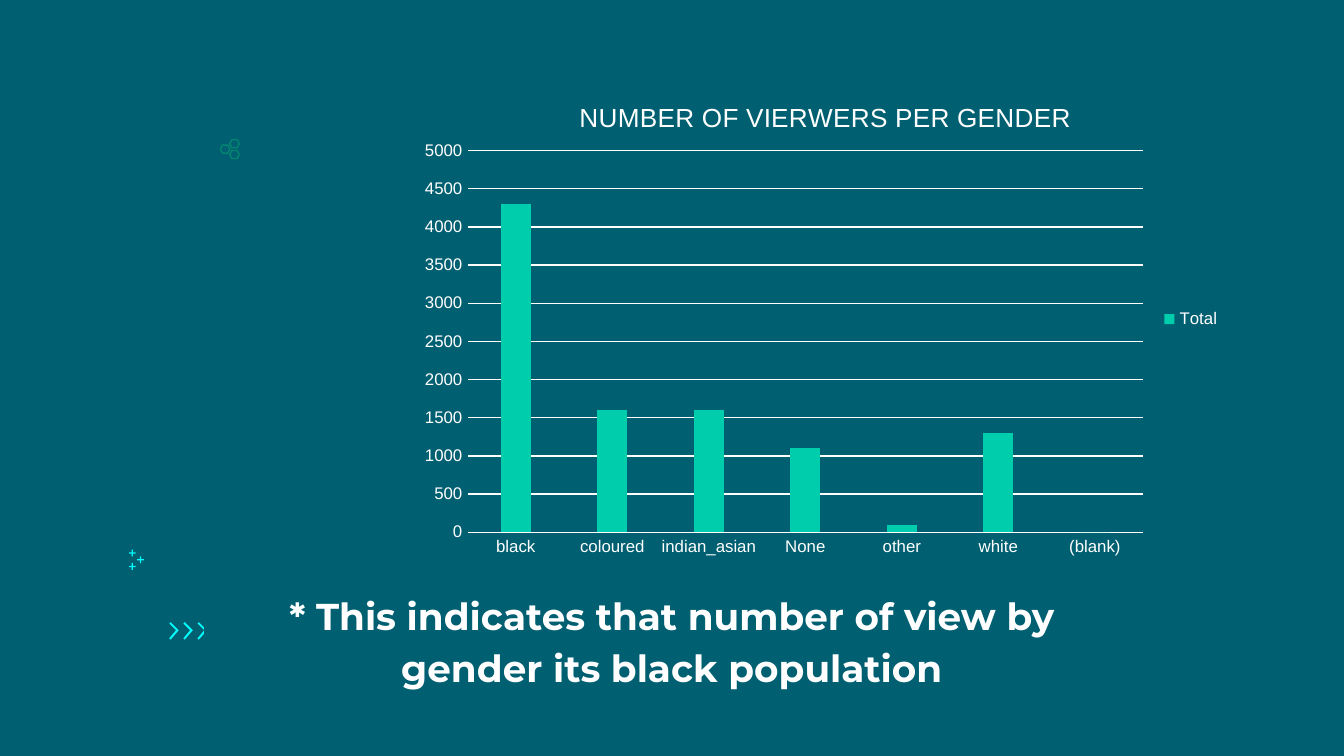
from dataclasses import dataclass

from lxml import etree
from pptx import Presentation
from pptx.chart.data import CategoryChartData
from pptx.dml.color import RGBColor
from pptx.enum.chart import XL_CHART_TYPE, XL_LEGEND_POSITION, XL_TICK_MARK
from pptx.enum.shapes import MSO_SHAPE
from pptx.enum.text import MSO_ANCHOR, PP_ALIGN
from pptx.oxml.ns import qn
from pptx.util import Inches, Pt

COLUMN = XL_CHART_TYPE.COLUMN_CLUSTERED
RIGHT = XL_LEGEND_POSITION.RIGHT
NO_TICK = XL_TICK_MARK.NONE
RECT = MSO_SHAPE.RECTANGLE
HEX = MSO_SHAPE.HEXAGON
MIDDLE = MSO_ANCHOR.MIDDLE
CENTER = PP_ALIGN.CENTER

CELL = Inches(0.1)
COLS, ROWS = 100, 56.25


@dataclass(frozen=True)
class Theme:
    back: str = "005F71"
    white: str = "FFFFFF"
    cyan: str = "00FFFD"
    green: str = "028670"
    bar: str = "00CDAB"
    plain: str = "Arial"
    bold: str = "Montserrat"
    small: float = 9
    head: float = 14
    note: float = 20
    thin: float = 0.75


THEME = Theme()


def span(*cells):
    return [round(cell * CELL) for cell in cells]


def assign(item, values):
    for name, value in values.items():
        setattr(item, name, value)


def paint(fill, color):
    fill.solid()
    fill.fore_color.rgb = RGBColor.from_string(color)


def stroke(line, color):
    paint(line.fill, color)
    line.width = Pt(THEME.thin)


def style(font, size, face=THEME.plain, bold=False):
    assign(font, {"size": Pt(size), "name": face, "bold": bold})
    font.color.rgb = RGBColor.from_string(THEME.white)


def finish(shape, color):
    shape.shadow.inherit = False
    paint(shape.fill, color)
    shape.line.fill.background()


def lay(parent, index, values):
    for old in parent.findall(qn("c:layout")):
        parent.remove(old)
    layout = etree.Element(qn("c:layout"))
    manual = etree.SubElement(layout, qn("c:manualLayout"))
    for name, value in values.items():
        etree.SubElement(manual, qn("c:" + name)).set("val", str(value))
    parent.insert(index, layout)


def draw_pluses(slide, left, top):
    shapes = slide.shapes.add_group_shape().shapes
    long, thin = 0.5, 0.1
    for col, row in ((0.85, 0.75), (0.25, 1.25), (0.25, 0.25)):
        for wide, high in ((long, thin), (thin, long)):
            box = span(left + col - wide / 2, top + row - high / 2, wide, high)
            finish(shapes.add_shape(RECT, *box), THEME.cyan)


def draw_arrows(slide, left, top, count=3, step=1.05):
    shapes = slide.shapes.add_group_shape().shapes
    edge = ((0, 1.2), (0.5, 0.6), (0, 0.1), (0.1, 0), (0.7, 0.6), (0.1, 1.3))
    for index in range(count):
        points = [span(left + index * step + x, top + y) for x, y in edge]
        path = shapes.build_freeform(*points[0])
        path.add_line_segments(points[1:], close=True)
        finish(path.convert_to_shape(), THEME.cyan)


def draw_cells(slide, left, top):
    shapes = slide.shapes.add_group_shape().shapes
    for col, row in ((0.7, 0), (0, 0.4), (0.7, 0.8)):
        cell = shapes.add_shape(HEX, *span(left + col, top + row, 0.7, 0.6))
        cell.shadow.inherit = False
        cell.fill.background()
        stroke(cell.line, THEME.green)


def draw_chart(slide, *box):
    data = CategoryChartData()
    data.categories = ["black", "coloured", "indian_asian", "None",
                       "other", "white", "(blank)"]
    data.add_series("Total", [4300, 1600, 1600, 1100, 100, 1300, 0])
    chart = slide.shapes.add_chart(COLUMN, *span(*box), data).chart
    style(chart.font, THEME.small)

    title = chart.chart_title
    title.text_frame.text = "NUMBER OF VIERWERS PER GENDER"
    style(title.text_frame.paragraphs[0].runs[0].font, THEME.head)
    lay(title.element, 1, {"xMode": "edge", "yMode": "edge",
                           "x": 0.2, "y": 0.05})
    title.include_in_layout = False

    plot = chart.plots[0]
    assign(plot, {"gap_width": 219, "overlap": -27,
                  "vary_by_categories": False})
    paint(plot.series[0].format.fill, THEME.bar)
    area = chart.element.find(".//" + qn("c:plotArea"))
    lay(area, 0, {"layoutTarget": "inner", "xMode": "edge", "yMode": "edge",
                  "x": 0.07, "y": 0.16, "w": 0.82, "h": 0.77})

    for axis in (chart.category_axis, chart.value_axis):
        assign(axis, {"major_tick_mark": NO_TICK, "minor_tick_mark": NO_TICK})
        style(axis.tick_labels.font, THEME.small)
    stroke(chart.category_axis.format.line, THEME.white)
    scale = chart.value_axis
    assign(scale, {"minimum_scale": 0, "maximum_scale": 5000,
                   "major_unit": 500, "has_major_gridlines": True})
    scale.format.line.fill.background()
    stroke(scale.major_gridlines.format.line, THEME.white)

    chart.has_legend = True
    assign(chart.legend, {"position": RIGHT, "include_in_layout": False})
    style(chart.legend.font, THEME.small)


def write_note(slide, *box):
    note = slide.shapes.add_textbox(*span(*box))
    paint(note.fill, THEME.back)
    frame = note.text_frame
    pad = CELL
    assign(frame, {"word_wrap": True, "vertical_anchor": MIDDLE,
                   "margin_left": pad, "margin_right": pad,
                   "margin_top": pad, "margin_bottom": pad})
    line = frame.paragraphs[0]
    assign(line, {"alignment": CENTER, "line_spacing": 1.15})
    run = line.add_run()
    run.text = ("* This indicates that number of view by "
                "gender its black population")
    style(run.font, THEME.note, THEME.bold, True)


def main():
    deck = Presentation()
    wide, high = span(COLS, ROWS)
    assign(deck, {"slide_width": wide, "slide_height": high})
    slide = deck.slides.add_slide(deck.slide_layouts[6])
    paint(slide.background.fill, THEME.back)
    draw_pluses(slide, 9.6, 40.9)
    draw_arrows(slide, 12.6, 46.3)
    draw_cells(slide, 16.4, 10.4)
    draw_chart(slide, 30.5, 5.3, 61.3, 36.9)
    write_note(slide, 15.2, 44.1, 69.6, 6.8)
    deck.save("out.pptx")


if __name__ == "__main__":
    main()
